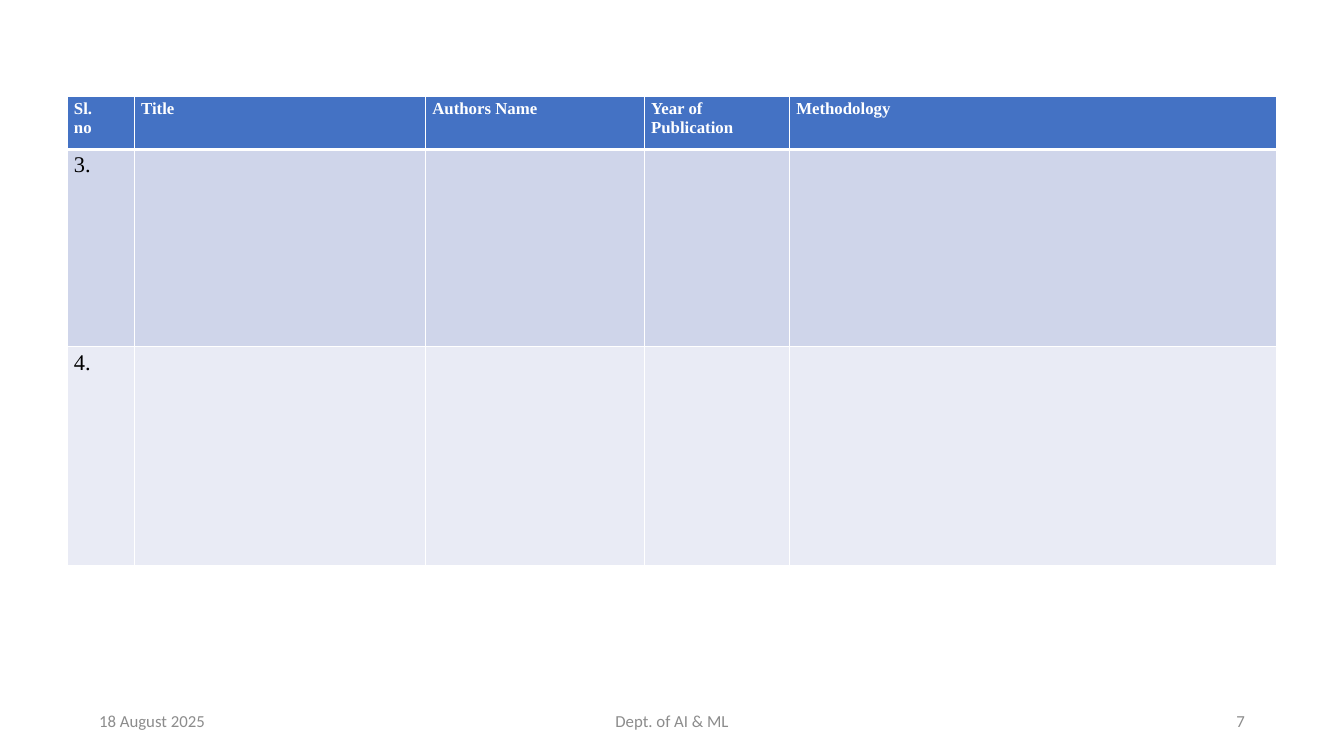
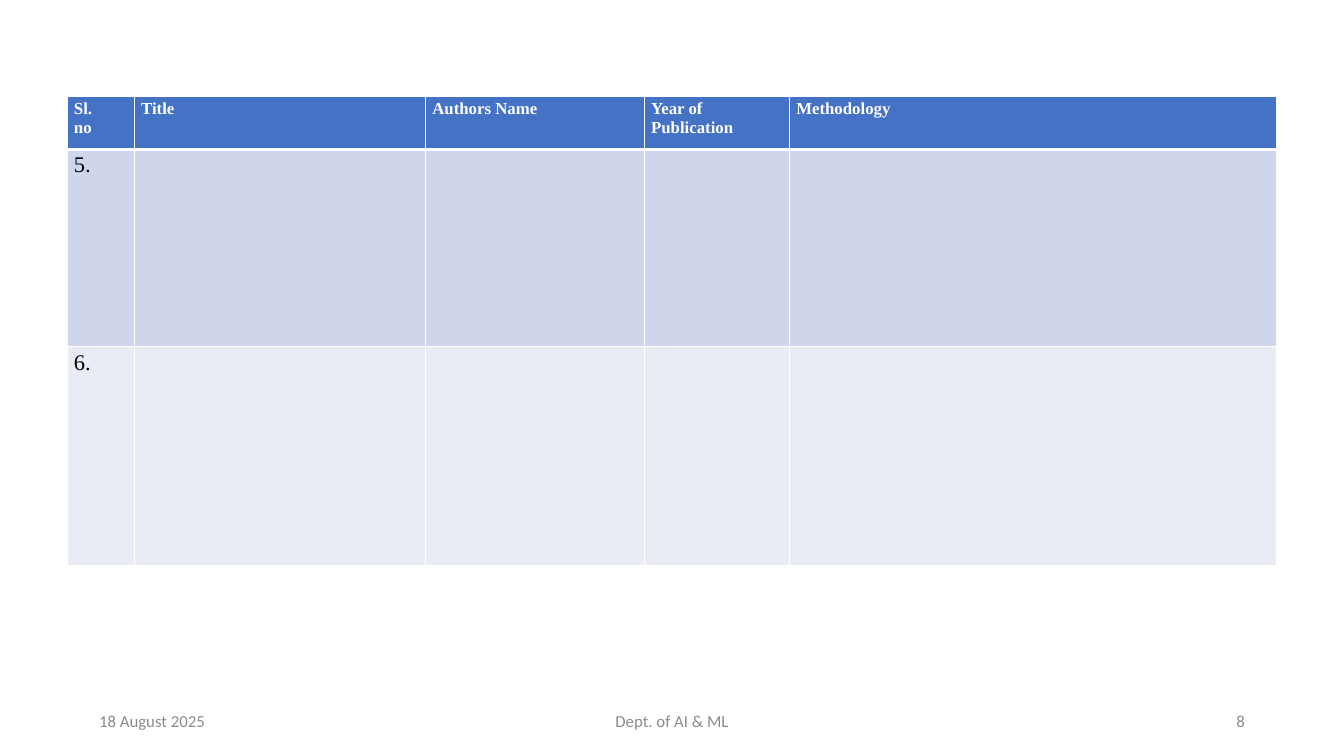
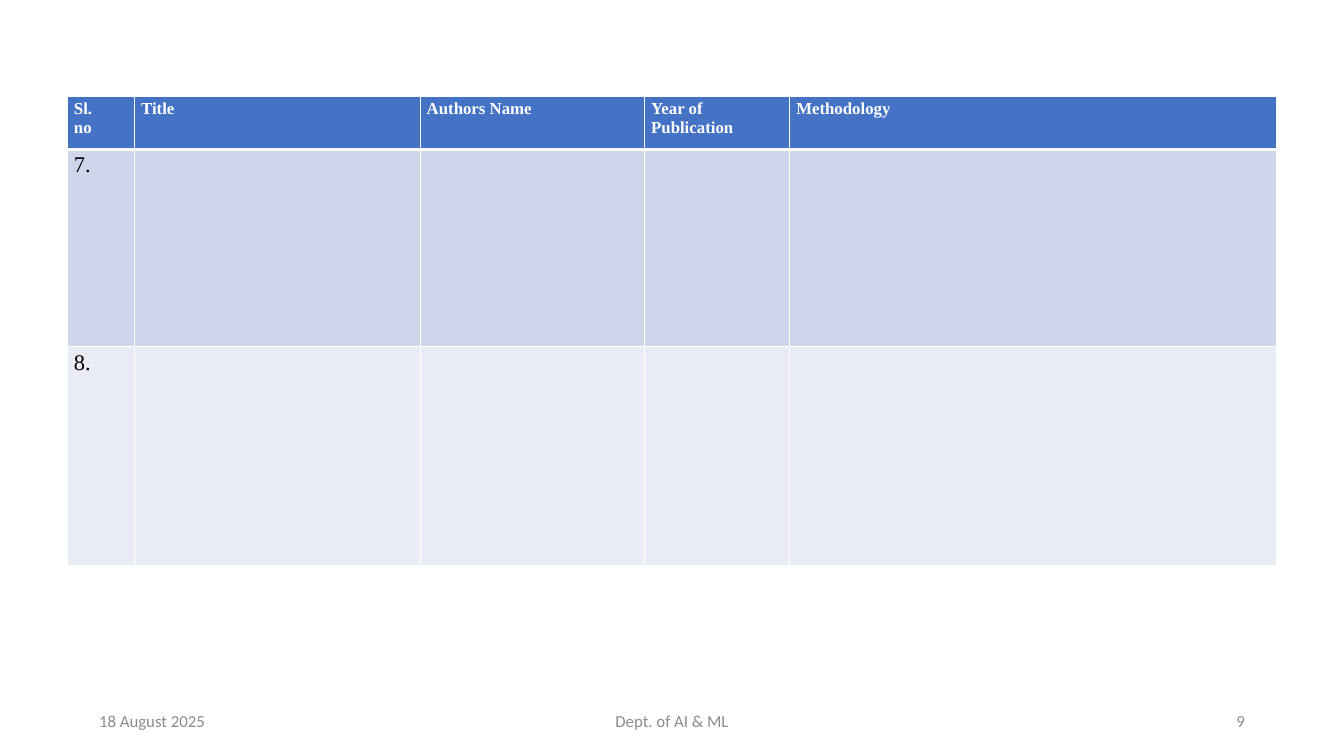
from dataclasses import dataclass

from lxml import etree
from pptx import Presentation
from pptx.dml.color import RGBColor
from pptx.enum.text import MSO_ANCHOR, PP_ALIGN
from pptx.oxml.ns import qn
from pptx.util import Pt

LEFT, CENTER, RIGHT = PP_ALIGN.LEFT, PP_ALIGN.CENTER, PP_ALIGN.RIGHT
JUSTIFY = PP_ALIGN.JUSTIFY
MIDDLE = MSO_ANCHOR.MIDDLE

# Content: serial numbers of the surveyed papers and the title column's width
HEADINGS = ["Sl.\nno", "Title", "Authors Name", "Year of\nPublication", "Methodology"]
PAGES = [
    {"serials": ["3.", "4."], "title_width": 312},
    {"serials": ["5.", "6."], "title_width": 312},
    {"serials": ["7.", "8."], "title_width": 306},
]
FIRST_PAGE_NUMBER = 7
FOOTER_DATE = "18 August 2025"
FOOTER_DEPARTMENT = "Dept. of AI & ML"


@dataclass(frozen=True)
class Theme:
    header_fill: str = "4472C4"
    row_fills: tuple = ("CFD5EA", "E9EBF5")
    white: str = "FFFFFF"
    ink: str = "000000"
    footer_ink: str = "8C8C8C"
    table_font: str = "Times New Roman"
    footer_font: str = "Calibri"
    small: int = 18
    large: int = 24
    thin: int = 1
    thick: int = 3


THEME = Theme()

# Layout in points
SLIDE_WIDTH, SLIDE_HEIGHT = 1440, 810
TABLE_LEFT, TABLE_TOP, TABLE_WIDTH = 72, 103, 1296
SERIAL_WIDTH, YEAR_WIDTH, METHOD_WIDTH = 72, 155.5, 522
ROW_HEIGHTS = [57, 211.5, 234]
FOOTER_TOP, FOOTER_HEIGHT, FOOTER_MARGIN = 751, 43, 99
FOOTER_SIDE_WIDTH, FOOTER_MIDDLE_WIDTH = 324, 486


def format_text(frame, font, size, color, align, bold=False):
    for para in frame.paragraphs:
        para.alignment = align
        for span in para.runs:
            span.font.name = font
            span.font.size = Pt(size)
            span.font.bold = bold
            span.font.color.rgb = RGBColor.from_string(color)


def set_borders(cell, top, bottom):
    properties = cell._tc.get_or_add_tcPr()
    widths = {"a:lnL": THEME.thin, "a:lnR": THEME.thin, "a:lnT": top, "a:lnB": bottom}
    for tag, width in widths.items():
        line = etree.SubElement(properties, qn(tag), w=str(Pt(width)))
        fill = etree.SubElement(line, qn("a:solidFill"))
        etree.SubElement(fill, qn("a:srgbClr"), val=THEME.white)


def fill_cell(cell, text, row_index):
    is_header = row_index == 0
    cell.text_frame.text = text
    if is_header:
        fill = THEME.header_fill
        format_text(cell.text_frame, THEME.table_font, THEME.small, THEME.white, JUSTIFY, True)
    else:
        fill = THEME.row_fills[(row_index - 1) % len(THEME.row_fills)]
        format_text(cell.text_frame, THEME.table_font, THEME.large, THEME.ink, LEFT)
    # The rule under the header is shared with the first body row
    top = THEME.thick if row_index == 1 else THEME.thin
    bottom = THEME.thick if is_header else THEME.thin
    set_borders(cell, top, bottom)
    cell.fill.solid()
    cell.fill.fore_color.rgb = RGBColor.from_string(fill)


def add_survey_table(page, serials, title_width):
    authors_width = TABLE_WIDTH - SERIAL_WIDTH - title_width - YEAR_WIDTH - METHOD_WIDTH
    widths = [SERIAL_WIDTH, title_width, authors_width, YEAR_WIDTH, METHOD_WIDTH]
    blanks = [""] * (len(HEADINGS) - 1)
    rows = [HEADINGS] + [[serial] + blanks for serial in serials]

    table = page.shapes.add_table(
        len(rows), len(widths), Pt(TABLE_LEFT), Pt(TABLE_TOP),
        Pt(TABLE_WIDTH), Pt(sum(ROW_HEIGHTS))).table
    for column, width in zip(table.columns, widths):
        column.width = Pt(width)
    for row, height in zip(table.rows, ROW_HEIGHTS):
        row.height = Pt(height)
    for row_index, texts in enumerate(rows):
        for column_index, text in enumerate(texts):
            fill_cell(table.cell(row_index, column_index), text, row_index)


def add_footer(page, number):
    parts = [
        (FOOTER_DATE, FOOTER_MARGIN, FOOTER_SIDE_WIDTH, LEFT),
        (FOOTER_DEPARTMENT, (SLIDE_WIDTH - FOOTER_MIDDLE_WIDTH) / 2, FOOTER_MIDDLE_WIDTH, CENTER),
        (str(number), SLIDE_WIDTH - FOOTER_MARGIN - FOOTER_SIDE_WIDTH, FOOTER_SIDE_WIDTH, RIGHT),
    ]
    for text, left, width, align in parts:
        box = page.shapes.add_textbox(Pt(left), Pt(FOOTER_TOP), Pt(width), Pt(FOOTER_HEIGHT))
        frame = box.text_frame
        frame.word_wrap = True
        frame.vertical_anchor = MIDDLE
        frame.text = text
        format_text(frame, THEME.footer_font, THEME.small, THEME.footer_ink, align)


def main():
    deck = Presentation()
    deck.slide_width, deck.slide_height = Pt(SLIDE_WIDTH), Pt(SLIDE_HEIGHT)
    blank_layout = deck.slide_layouts.get_by_name("Blank")
    for number, content in enumerate(PAGES, FIRST_PAGE_NUMBER):
        page = deck.slides.add_slide(blank_layout)
        add_survey_table(page, **content)
        add_footer(page, number)
    deck.save("out.pptx")


if __name__ == "__main__":
    main()
